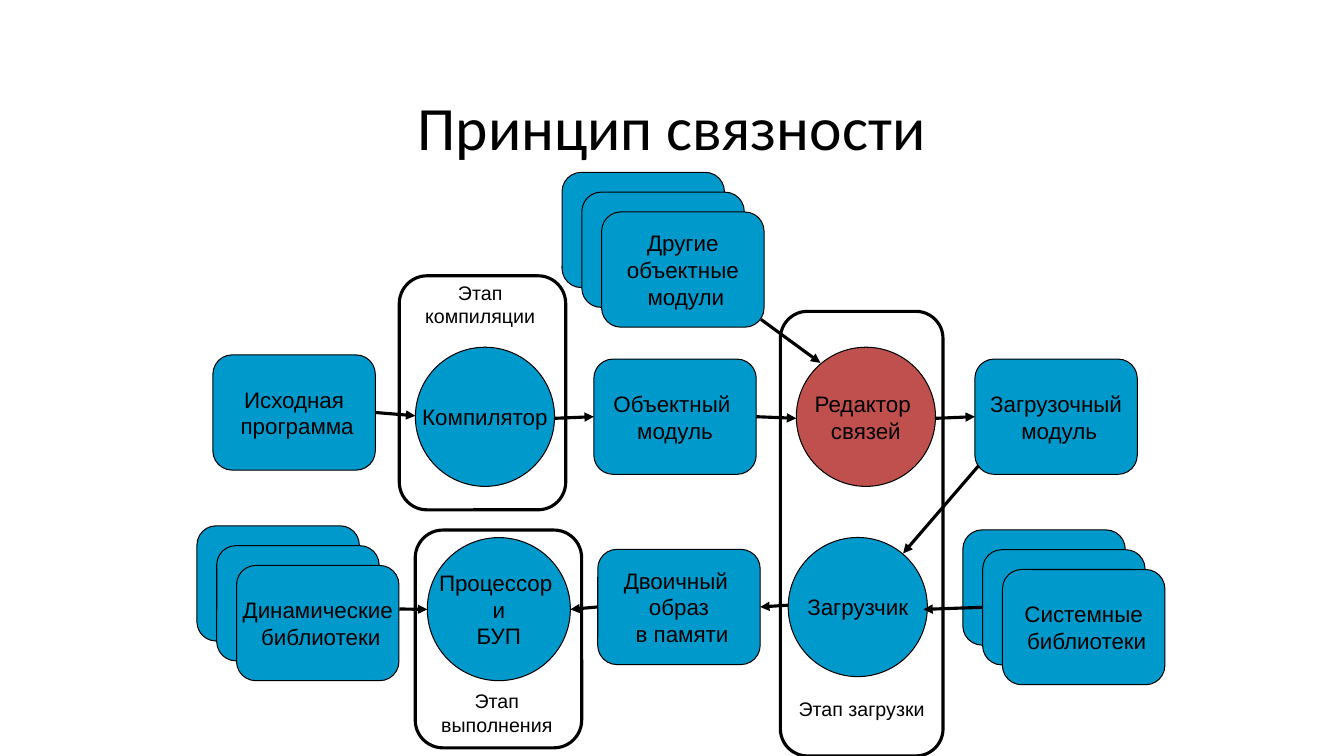
from dataclasses import dataclass
from typing import Optional

from lxml.etree import SubElement
from pptx import Presentation
from pptx.dml.color import RGBColor
from pptx.enum.shapes import MSO_CONNECTOR, MSO_SHAPE
from pptx.enum.text import MSO_ANCHOR, MSO_AUTO_SIZE, PP_ALIGN
from pptx.oxml.ns import qn
from pptx.util import Pt

BLACK = RGBColor(0x00, 0x00, 0x00)
WHITE = RGBColor(0xFF, 0xFF, 0xFF)
BLUE = RGBColor(0x00, 0x99, 0xCC)
RED = RGBColor(0xC0, 0x50, 0x4D)

MODULE_W, MODULE_H = 116, 82.3
CIRCLE = 99.4
SHEET_STEP = 14.15
LEFT, RIGHT = 1, 3


@dataclass
class Box:
    x: float
    y: float
    w: float
    h: float


@dataclass
class Module:
    """Rounded box; extra sheets lie behind it, up and to the left."""
    name: str
    x: float
    y: float
    text: str
    sheets: int = 1


@dataclass
class Stage:
    x: float
    y: float
    text: str
    size: float = CIRCLE
    fill: RGBColor = BLUE


@dataclass
class Arrow:
    x1: float
    y1: float
    x2: float
    y2: float
    source: Optional[tuple] = None  # (module name, side)
    target: Optional[tuple] = None


@dataclass
class Label:
    box: Box
    text: str
    font: str
    size: float
    before: float = 0
    anchor: MSO_ANCHOR = MSO_ANCHOR.TOP
    fit: MSO_AUTO_SIZE = MSO_AUTO_SIZE.SHAPE_TO_FIT_TEXT


FRAMES = [
    Box(296.6, 378.6, 118.9, 155.6),
    Box(557.4, 222.4, 116.2, 317.6),
    Box(285.2, 197, 118.9, 167.2),
]

MODULES = [
    Module("others", 429.8, 151.4, "Другие\vобъектные\n модули", 3),
    Module("image", 427, 392.4, "Двоичный \vобраз\v в памяти"),
    Module("system", 716.1, 406.8, "Системные\v библиотеки", 3),
    Module("dynamic", 169, 403.9, "Динамические\v библиотеки", 3),
    Module("source", 152.1, 253.5, "Исходная\v программа"),
    Module("object", 424.2, 256.5, "Объектный \nмодуль"),
    Module("load", 696.4, 256.5, "Загрузочный\v модуль"),
]

STAGES = [
    Stage(563, 383.9, "Загрузчик"),
    Stage(305.2, 384, "Процессор \nи\nБУП", 102.2),
    Stage(296.7, 248, "Компилятор"),
    Stage(568.8, 248, "Редактор \vсвязей", fill=RED),
]

ARROWS = [
    Arrow(268.1, 295, 296.7, 297, source=("source", RIGHT)),
    Arrow(396.1, 298.8, 424.2, 298.8, target=("object", LEFT)),
    Arrow(540.2, 298.8, 568.8, 298.8, source=("object", RIGHT)),
    Arrow(668.2, 298.8, 696.4, 298.8, target=("load", LEFT)),
    Arrow(543.6, 228.2, 586, 259.2),
    Arrow(699.1, 332.6, 645.1, 395.3),
    Arrow(702, 435, 659.5, 435.3, source=("system sheet 2", LEFT)),
    Arrow(563, 432.3, 543, 432.5, target=("image", RIGHT)),
    Arrow(285.2, 435, 305.2, 435.3),
    Arrow(427, 435, 407.4, 435.3, source=("image", LEFT)),
]

LABELS = [
    Label(Box(48, 45, 864, 90), "Принцип связности", "Calibri", 44,
          anchor=MSO_ANCHOR.MIDDLE, fit=MSO_AUTO_SIZE.NONE),
    Label(Box(288, 197, 110, 41), "Этап компиляции", "Arial", 14, 8.8),
    Label(Box(563, 494.6, 105, 24.3), "Этап загрузки", "Arial", 14, 8.8),
    Label(Box(302.4, 488.9, 105, 41), "Этап выполнения", "Arial", 14, 8.8),
]


def write(tf, text: str, font: str, size: float, before: float = 0) -> None:
    tf.text = text
    for p in tf.paragraphs:
        p.alignment = PP_ALIGN.CENTER
        if before:
            p.space_before = Pt(before)
        for r in p.runs:
            r.font.name = font
            r.font.size = Pt(size)
            r.font.color.rgb = BLACK


def draw_shape(shapes, kind: MSO_SHAPE, box: Box, fill: RGBColor,
               line: float = 0.75, text: str = ""):
    sp = shapes.add_shape(kind, Pt(box.x), Pt(box.y), Pt(box.w), Pt(box.h))
    sp.shadow.inherit = False
    sp.fill.solid()
    sp.fill.fore_color.rgb = fill
    sp.line.color.rgb = BLACK
    sp.line.width = Pt(line)
    if text:
        tf = sp.text_frame
        tf.word_wrap = False
        tf.vertical_anchor = MSO_ANCHOR.MIDDLE
        write(tf, text, "Arial", 16)
    return sp


def draw_frame(shapes, box: Box) -> None:
    sp = draw_shape(shapes, MSO_SHAPE.ROUNDED_RECTANGLE, box, WHITE, 2.25)
    color = sp.fill._xPr.find(qn("a:solidFill"))[0]
    SubElement(color, qn("a:alpha")).set("val", "10000")


def draw_module(shapes, module: Module) -> dict:
    drawn = {}
    for behind in reversed(range(module.sheets)):
        shift = behind * SHEET_STEP
        box = Box(module.x - shift, module.y - shift, MODULE_W, MODULE_H)
        name = f"{module.name} sheet {behind + 1}" if behind else module.name
        drawn[name] = draw_shape(shapes, MSO_SHAPE.ROUNDED_RECTANGLE, box, BLUE,
                                 text="" if behind else module.text)
    return drawn


def draw_arrow(shapes, arrow: Arrow, modules: dict) -> None:
    cxn = shapes.add_connector(MSO_CONNECTOR.STRAIGHT, Pt(arrow.x1), Pt(arrow.y1),
                               Pt(arrow.x2), Pt(arrow.y2))
    if arrow.source:
        name, side = arrow.source
        cxn.begin_connect(modules[name], side)
    if arrow.target:
        name, side = arrow.target
        cxn.end_connect(modules[name], side)
    cxn.line.color.rgb = BLACK
    cxn.line.width = Pt(2.25)
    SubElement(cxn.line._get_or_add_ln(), qn("a:tailEnd")).set("type", "triangle")
    SubElement(cxn._element.spPr, qn("a:effectLst"))


def draw_label(shapes, label: Label) -> None:
    box = label.box
    tf = shapes.add_textbox(Pt(box.x), Pt(box.y), Pt(box.w), Pt(box.h)).text_frame
    tf.word_wrap = True
    tf.auto_size = label.fit
    tf.vertical_anchor = label.anchor
    write(tf, label.text, label.font, label.size, label.before)


def main() -> None:
    prs = Presentation()
    prs.slide_width, prs.slide_height = Pt(960), Pt(540)
    shapes = prs.slides.add_slide(prs.slide_layouts[6]).shapes

    # Stage frames
    for frame in FRAMES:
        draw_frame(shapes, frame)

    # Modules and processing stages
    modules = {}
    for module in MODULES:
        modules.update(draw_module(shapes, module))
    for stage in STAGES:
        box = Box(stage.x, stage.y, stage.size, stage.size)
        draw_shape(shapes, MSO_SHAPE.OVAL, box, stage.fill, text=stage.text)

    # Arrows
    for arrow in ARROWS:
        draw_arrow(shapes, arrow, modules)

    # Title and frame captions
    for label in LABELS:
        draw_label(shapes, label)

    prs.save("out.pptx")


if __name__ == "__main__":
    main()
